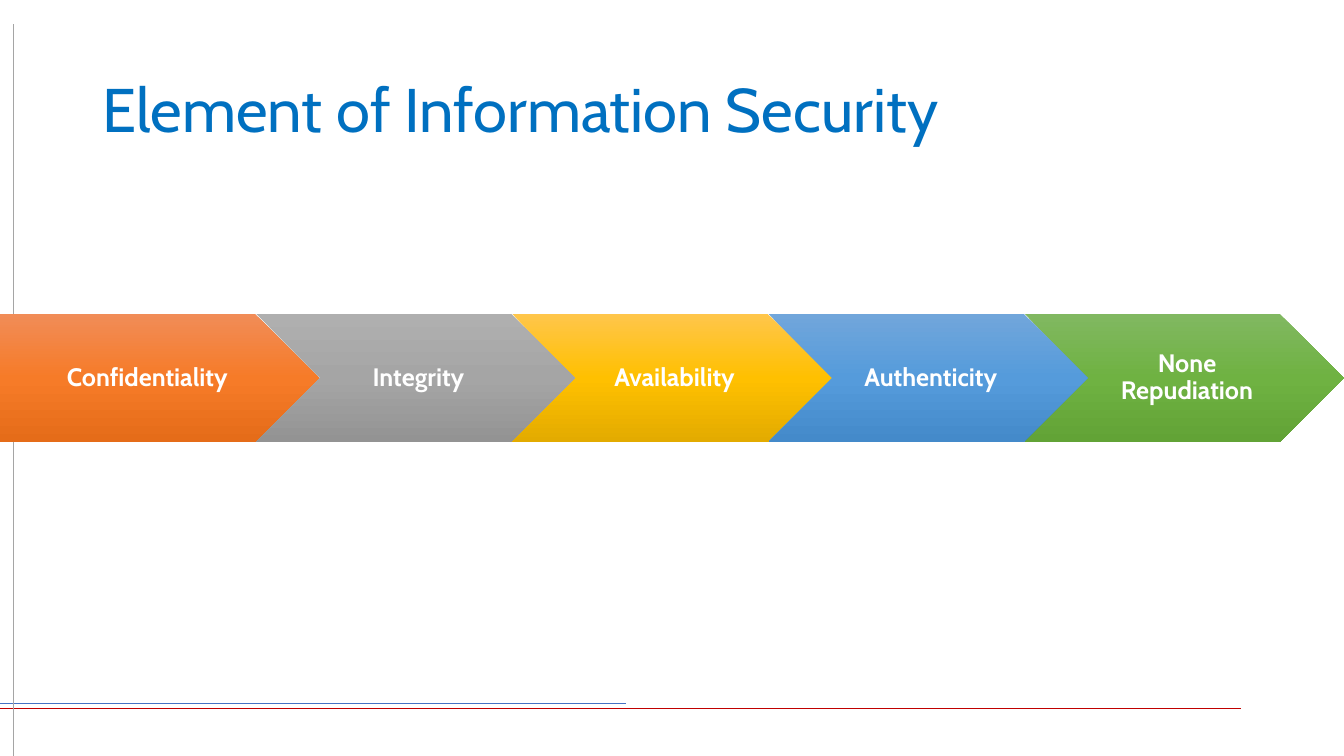
from copy import deepcopy

from pptx import Presentation
from pptx.dml.color import RGBColor
from pptx.enum.shapes import MSO_CONNECTOR, MSO_SHAPE
from pptx.enum.text import MSO_ANCHOR, PP_ALIGN
from pptx.oxml.ns import qn
from pptx.oxml.xmlchemy import OxmlElement
from pptx.util import Emu, Pt

STRAIGHT = MSO_CONNECTOR.STRAIGHT
PENTAGON = MSO_SHAPE.PENTAGON
CHEVRON = MSO_SHAPE.CHEVRON
MIDDLE = MSO_ANCHOR.MIDDLE
LEFT = PP_ALIGN.LEFT
CENTER = PP_ALIGN.CENTER

FONT = "Cabin"
WHITE = RGBColor(0xFF, 0xFF, 0xFF)
TITLE_BLUE = RGBColor(0x00, 0x70, 0xC0)
RULE_BLUE = RGBColor(0x44, 0x72, 0xC4)
RULE_RED = RGBColor(0xC0, 0x00, 0x00)
RULE_GRAY = RGBColor(0xA5, 0xA5, 0xA5)
ORANGES = (RGBColor(0xF1, 0x8C, 0x57), RGBColor(0xF6, 0x7B, 0x28), RGBColor(0xE5, 0x6C, 0x19))
GRAYS = (RGBColor(0xAF, 0xAF, 0xAF), RGBColor(0xA5, 0xA5, 0xA5), RGBColor(0x93, 0x93, 0x93))
YELLOWS = (RGBColor(0xFF, 0xC6, 0x4B), RGBColor(0xFF, 0xC0, 0x00), RGBColor(0xE3, 0xAB, 0x00))
BLUES = (RGBColor(0x71, 0xA6, 0xDB), RGBColor(0x55, 0x9B, 0xDB), RGBColor(0x44, 0x8A, 0xCA))
GREENS = (RGBColor(0x81, 0xB8, 0x61), RGBColor(0x6F, 0xB2, 0x42), RGBColor(0x62, 0xA3, 0x36))

ELEMENTS = [
    ("Confidentiality", PENTAGON, ORANGES, 10),
    ("Integrity", CHEVRON, GRAYS, 8),
    ("Availability", CHEVRON, YELLOWS, 8),
    ("Authenticity", CHEVRON, BLUES, 8),
    ("None Repudiation", CHEVRON, GREENS, 8),
]
ARROW_TOP, ARROW_WIDTH, ARROW_HEIGHT, ARROW_STEP = 299, 304, 122, 244


def px(n):
    return Emu(n * 9525)


def write(tf, text, size, color, align, bold=False):
    tf.word_wrap = True
    tf.vertical_anchor = MIDDLE
    p = tf.paragraphs[0]
    p.alignment = align
    p.line_spacing = 0.9
    r = p.add_run()
    r.text = text
    r.font.name = FONT
    r.font.size = Pt(size)
    r.font.bold = bold
    r.font.color.rgb = color


def add_rule(slide, x1, y1, x2, y2, color):
    line = slide.shapes.add_connector(STRAIGHT, px(x1), px(y1), px(x2), px(y2))
    line.line.color.rgb = color
    line.line.width = Pt(1)
    line._element.spPr.append(OxmlElement("a:effectLst"))


def add_title(slide, text):
    title = slide.shapes.title
    title.left, title.top, title.width, title.height = px(88), px(38), px(1104), px(139)
    write(title.text_frame, text, 44, TITLE_BLUE, LEFT)


def fill_gradient(sp, colors):
    fill = sp.fill
    fill.gradient()
    fill.gradient_angle = 270
    stop_list = sp._element.spPr.find(qn("a:gradFill")).find(qn("a:gsLst"))
    stop_list.append(deepcopy(stop_list[0]))
    for stop, position, color in zip(fill.gradient_stops, (0, 0.5, 1), colors):
        stop.position = position
        stop.color.rgb = color


def add_arrow(group, left, text, preset, colors, inset):
    sp = group.shapes.add_shape(preset, px(left), px(ARROW_TOP), px(ARROW_WIDTH), px(ARROW_HEIGHT))
    sp.shadow.inherit = False
    sp.line.fill.background()
    fill_gradient(sp, colors)
    tf = sp.text_frame
    tf.margin_left, tf.margin_right = px(inset), px(3)
    tf.margin_top = tf.margin_bottom = px(5)
    write(tf, text, 18, WHITE, CENTER, bold=True)


def main():
    prs = Presentation()
    prs.slide_width, prs.slide_height = px(1280), px(720)
    slide = prs.slides.add_slide(prs.slide_layouts[5])
    add_rule(slide, -3, 670, 596, 670, RULE_BLUE)
    add_rule(slide, -3, 675, 1182, 675, RULE_RED)
    add_rule(slide, 13, 720, 13, 23, RULE_GRAY)
    add_title(slide, "Element of Information Security")
    group = slide.shapes.add_group_shape()
    for i, element in enumerate(ELEMENTS):
        add_arrow(group, i * ARROW_STEP, *element)
    prs.save("out.pptx")


if __name__ == "__main__":
    main()
